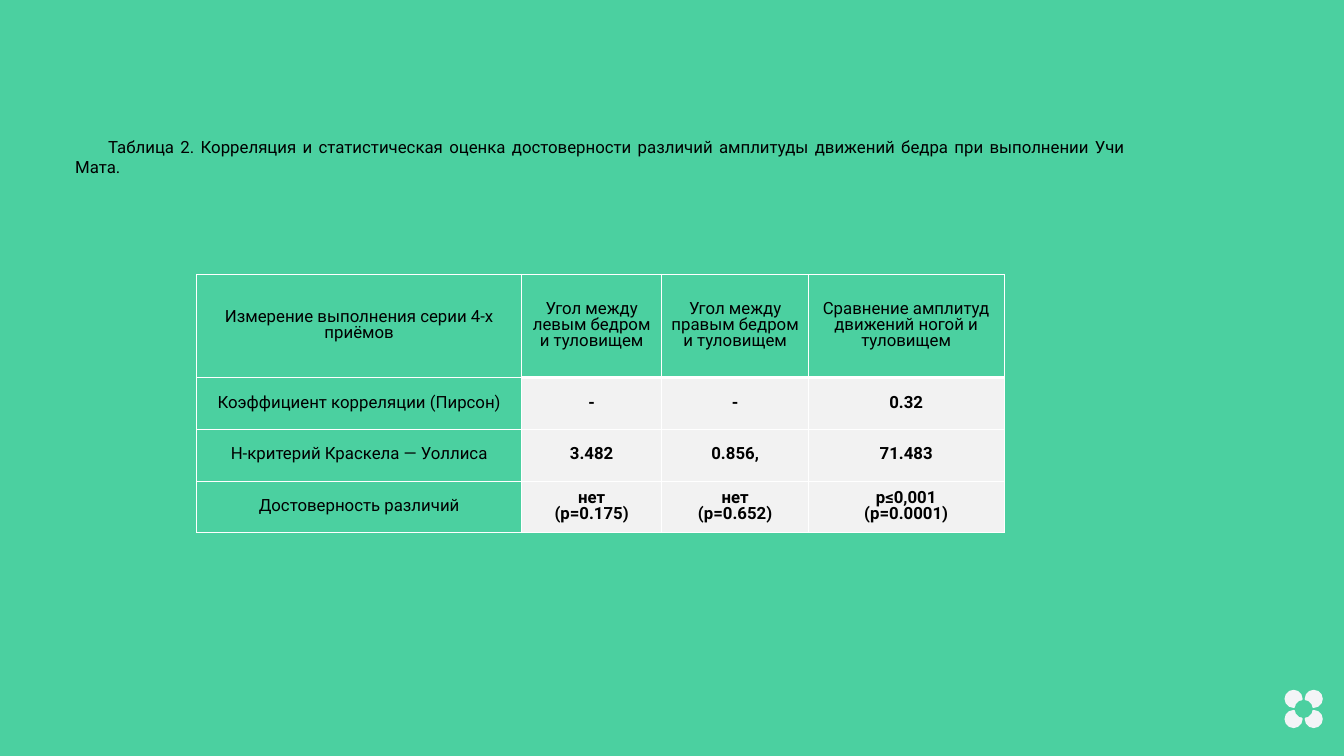
import pptx
import pptx.dml.color
import pptx.enum.shapes
import pptx.enum.text
import pptx.oxml
import pptx.oxml.ns
import pptx.util
from pptx.util import Inches

GREEN, GRAY, WHITE, PETAL, BLACK = "4BD0A0", "F2F2F2", "FFFFFF", "F3F4F7", "000000"
FONT, FONT_SIZE = "Roboto", 18

CAPTION = (
    "Таблица 2. Корреляция и статистическая оценка достоверности различий "
    "амплитуды движений бедра при выполнении Учи Мата."
)
ROWS = [
    ["Измерение выполнения серии 4-х приёмов", "Угол между левым бедром и туловищем",
     "Угол между правым бедром и туловищем", "Сравнение амплитуд движений ногой и туловищем"],
    ["Коэффициент корреляции (Пирсон)", "-", "-", "0.32"],
    ["H-критерий Краскела — Уоллиса", "3.482", "0.856,", "71.483"],
    ["Достоверность различий", "нет\n(p=0.175)", "нет\n(p=0.652)", "р≤0,001\n(p=0.0001)"],
]
COLUMN_WIDTHS = [4.83, 2.09, 2.18, 2.91]
ROW_HEIGHTS = [1.54, 0.77, 0.77, 0.77]
TABLE_LEFT, TABLE_TOP = 2.93, 4.08
FLOWER_X, FLOWER_Y = 19.4, 10.55
PETAL_OFFSET, PETAL_SIZE = 0.15, 0.27


def color(value):
    return pptx.dml.color.RGBColor.from_string(value)


def paint(target, value):
    target.fill.solid()
    target.fill.fore_color.rgb = color(value)


def add_run(paragraph, text, bold=False):
    run = paragraph.add_run()
    run.text = text
    run.font.name = FONT
    run.font.size = pptx.util.Pt(FONT_SIZE)
    run.font.bold = bold
    run.font.color.rgb = color(BLACK)


def add_circle(slide, x, y, size, fill):
    shape = slide.shapes.add_shape(
        pptx.enum.shapes.MSO_SHAPE.OVAL,
        Inches(x - size / 2), Inches(y - size / 2), Inches(size), Inches(size))
    shape.shadow.inherit = False
    paint(shape, fill)
    shape.line.fill.background()


def add_flower(slide):
    for x_sign in (-1, 1):
        for y_sign in (-1, 1):
            add_circle(slide, FLOWER_X + x_sign * PETAL_OFFSET,
                       FLOWER_Y + y_sign * PETAL_OFFSET, PETAL_SIZE, PETAL)
    add_circle(slide, FLOWER_X, FLOWER_Y, PETAL_SIZE, GREEN)


def set_borders(cell, widths):
    properties = cell._tc.get_or_add_tcPr()
    for index, (side, width) in enumerate(widths.items()):
        border = pptx.oxml.parse_xml(
            f'<a:ln{side} {pptx.oxml.ns.nsdecls("a")} w="{pptx.util.Pt(width)}">'
            f'<a:solidFill><a:srgbClr val="{WHITE}"/></a:solidFill></a:ln{side}>')
        properties.insert(index, border)


def fill_cell(cell, text, row, column):
    is_value = row > 0 and column > 0
    paint(cell, GRAY if is_value else GREEN)
    cell.vertical_anchor = pptx.enum.text.MSO_ANCHOR.MIDDLE
    cell.margin_left = cell.margin_right = Inches(0.07)
    cell.margin_top = cell.margin_bottom = 0
    for index, line in enumerate(text.split("\n")):
        frame = cell.text_frame
        paragraph = frame.add_paragraph() if index else frame.paragraphs[0]
        paragraph.alignment = pptx.enum.text.PP_ALIGN.CENTER
        paragraph.line_spacing = 0.8
        add_run(paragraph, line, is_value)
    widths = {"L": 1, "R": 1, "T": 1, "B": 1}
    if column > 0 and row < 2:
        widths["T" if row else "B"] = 3
    set_borders(cell, widths)


def add_results_table(slide):
    table = slide.shapes.add_table(
        len(ROWS), len(COLUMN_WIDTHS), Inches(TABLE_LEFT), Inches(TABLE_TOP),
        Inches(sum(COLUMN_WIDTHS)), Inches(sum(ROW_HEIGHTS))).table
    for column, width in zip(table.columns, COLUMN_WIDTHS):
        column.width = Inches(width)
    for row, height in zip(table.rows, ROW_HEIGHTS):
        row.height = Inches(height)
    for row, texts in enumerate(ROWS):
        for column, text in enumerate(texts):
            fill_cell(table.cell(row, column), text, row, column)


def add_caption(slide):
    box = slide.shapes.add_textbox(Inches(1.02), Inches(2.13), Inches(15.82), Inches(0.4))
    frame = box.text_frame
    frame.word_wrap = True
    frame.vertical_anchor = pptx.enum.text.MSO_ANCHOR.MIDDLE
    paragraph = frame.paragraphs[0]
    paragraph.alignment = pptx.enum.text.PP_ALIGN.JUSTIFY
    paragraph._p.get_or_add_pPr().set("indent", str(Inches(0.49)))
    add_run(paragraph, CAPTION)


def main():
    presentation = pptx.Presentation()
    presentation.slide_width = Inches(20)
    presentation.slide_height = Inches(11.25)
    slide = presentation.slides.add_slide(presentation.slide_layouts[6])
    paint(slide.background, GREEN)
    add_flower(slide)
    add_results_table(slide)
    add_caption(slide)
    presentation.save("out.pptx")


if __name__ == "__main__":
    main()
